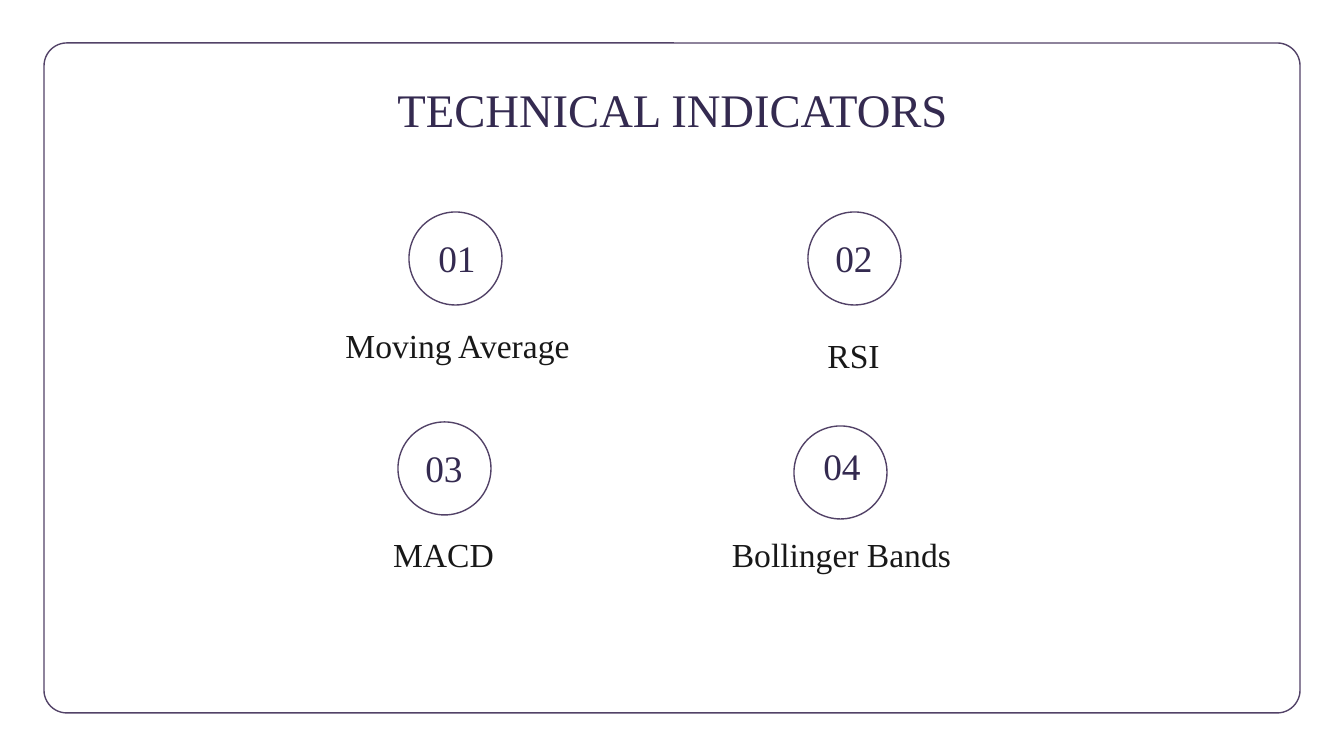
from pptx import Presentation
from pptx.dml.color import RGBColor
from pptx.enum.shapes import MSO_SHAPE
from pptx.enum.text import MSO_ANCHOR, PP_ALIGN
from pptx.util import Pt

EMU_PER_PX = 914400 / 134.4
BLANK_LAYOUT = 6
ROUNDED = MSO_SHAPE.ROUNDED_RECTANGLE
OVAL = MSO_SHAPE.OVAL
MIDDLE = MSO_ANCHOR.MIDDLE
BOTTOM = MSO_ANCHOR.BOTTOM
CENTER = PP_ALIGN.CENTER

CIRCLE_SIZE = 93
NUMBER_SIZE = (108, 66)
LABEL_SIZE = (339, 47)

INDICATORS = [
    ("Moving Average", (409, 212), (403, 227), (288, 331)),
    ("RSI", (808, 212), (800, 227), (684, 341)),
    ("MACD", (398, 422), (390, 437), (274, 540)),
    ("Bollinger Bands", (794, 426), (788, 435), (672, 540)),
]


def px(length):
    return round(length * EMU_PER_PX)


def color(hex_value):
    return RGBColor.from_string(hex_value)


class SlideBuilder:
    font = "Times New Roman"
    outline = "524267"
    heading = "342A50"
    body = "181818"
    inset = 13

    def __init__(self, slide):
        self.slide = slide

    def outlined(self, preset, left, top, width, height):
        shape = self.slide.shapes.add_shape(
            preset, px(left), px(top), px(width), px(height))
        shape.shadow.inherit = False
        shape.fill.background()
        shape.line.color.rgb = color(self.outline)
        shape.line.width = Pt(0.75)
        return shape

    def text(self, words, position, size, points, ink, anchor=BOTTOM):
        box = self.slide.shapes.add_textbox(*map(px, position + size))
        frame = box.text_frame
        frame.word_wrap = True
        frame.vertical_anchor = anchor
        frame.margin_left = frame.margin_right = px(self.inset)
        frame.margin_top = frame.margin_bottom = px(self.inset)
        frame.text = words
        paragraph = frame.paragraphs[0]
        paragraph.alignment = CENTER
        font = paragraph.runs[0].font
        font.name = self.font
        font.size = Pt(points)
        font.color.rgb = color(ink)


def main():
    deck = Presentation()
    deck.slide_width = px(1344)
    deck.slide_height = px(756)
    slide = deck.slides.add_slide(deck.slide_layouts[BLANK_LAYOUT])
    builder = SlideBuilder(slide)

    border = builder.outlined(ROUNDED, 44, 43, 1256, 670)
    border.adjustments[0] = 0.034
    builder.text("TECHNICAL INDICATORS", (106, 66), (1133, 85), 25,
                 builder.heading, MIDDLE)

    for number, (name, circle_at, number_at, label_at) in enumerate(INDICATORS, 1):
        builder.outlined(OVAL, *circle_at, CIRCLE_SIZE, CIRCLE_SIZE)
        builder.text(f"{number:02}", number_at, NUMBER_SIZE, 20, builder.heading)
        builder.text(name, label_at, LABEL_SIZE, 18, builder.body)

    deck.save("out.pptx")


if __name__ == "__main__":
    main()
